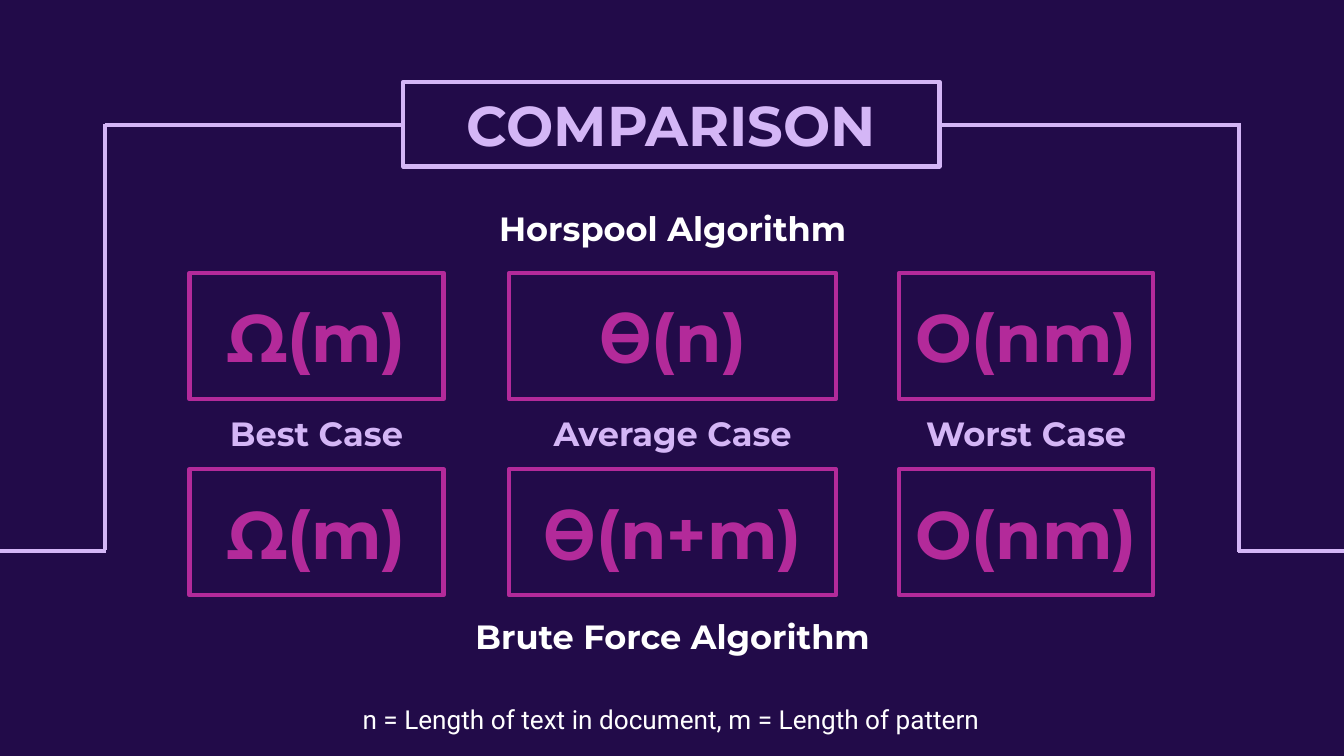
from lxml.etree import SubElement
from pptx import Presentation
from pptx.dml.color import RGBColor
from pptx.enum.shapes import MSO_CONNECTOR, MSO_SHAPE
from pptx.enum.text import MSO_ANCHOR, PP_ALIGN
from pptx.oxml.ns import qn
from pptx.util import Inches, Pt

NIGHT = RGBColor(0x22, 0x0B, 0x49)
LILAC = RGBColor(0xD4, 0xB6, 0xF6)
MAGENTA = RGBColor(0xB3, 0x2A, 0x9A)
WHITE = RGBColor(0xFF, 0xFF, 0xFF)

deck = Presentation()
deck.slide_width = Inches(10)
deck.slide_height = Inches(10) * 9 // 16
page = deck.slides.add_slide(deck.slide_layouts[6])
page.background.fill.solid()
page.background.fill.fore_color.rgb = NIGHT


def write(box, text, size, color, anchor=MSO_ANCHOR.TOP, font="Montserrat", bold=True):
    frame = box.text_frame
    frame.word_wrap = True
    frame.vertical_anchor = anchor
    frame.margin_left = frame.margin_right = Inches(0.1)
    frame.margin_top = frame.margin_bottom = Inches(0.1)
    frame.text = text
    para = frame.paragraphs[0]
    para.alignment = PP_ALIGN.CENTER
    span = para.runs[0]
    span.font.name = font
    span.font.size = Pt(size)
    span.font.bold = bold
    span.font.color.rgb = color
    return para


def add_framed(left, top, width, height, text, size, color):
    box = page.shapes.add_shape(
        MSO_SHAPE.RECTANGLE, Inches(left), Inches(top), Inches(width), Inches(height)
    )
    box.shadow.inherit = False
    box.fill.background()
    box.line.color.rgb = color
    box.line.width = Pt(2.25)
    write(box, text, size, color, MSO_ANCHOR.MIDDLE)
    return box


border = [
    (0.78, 0.93, 9.23, 0.93),
    (9.22, 0.94, 9.22, 4.11),
    (10, 4.1, 9.21, 4.1),
    (0.78, 0.92, 0.78, 4.09),
    (0, 4.1, 0.79, 4.1),
]
for points in border:
    line = page.shapes.add_connector(MSO_CONNECTOR.STRAIGHT, *map(Inches, points))
    line.line.color.rgb = LILAC
    line.line.width = Pt(2.25)
    SubElement(line._element.spPr, qn("a:effectLst"))

title = add_framed(3, 0.61, 3.99, 0.63, "COMPARISON", 30, LILAC)
title.fill.solid()
title.fill.fore_color.rgb = NIGHT

cases = [
    (1.41, 1.89, "Best Case", "Ω(m)", "Ω(m)"),
    (3.79, 2.43, "Average Case", "𝚹(n)", "𝚹(n+m)"),
    (6.69, 1.89, "Worst Case", "O(nm)", "O(nm)"),
]
for left, width, case, horspool, brute_force in cases:
    add_framed(left, 2.03, width, 0.94, horspool, 36, MAGENTA)
    label = page.shapes.add_textbox(
        Inches(left - 0.02), Inches(2.97), Inches(width + 0.04), Inches(0.52)
    )
    write(label, case, 18, LILAC)
    add_framed(left, 3.49, width, 0.94, brute_force, 36, MAGENTA)

for top, algorithm in [(1.45, "Horspool Algorithm"), (4.48, "Brute Force Algorithm")]:
    heading = page.shapes.add_textbox(Inches(1.4), Inches(top), Inches(7.21), Inches(0.52))
    write(heading, algorithm, 18, WHITE)

legend = page.shapes.add_textbox(Inches(0.76), Inches(5.1), Inches(8.47), Inches(0.52))
para = write(
    legend,
    "n = Length of text in document, m = Length of pattern",
    14,
    WHITE,
    font="Roboto",
    bold=False,
)
para.line_spacing = 1.15
para.space_after = Pt(16)

deck.save("out.pptx")
